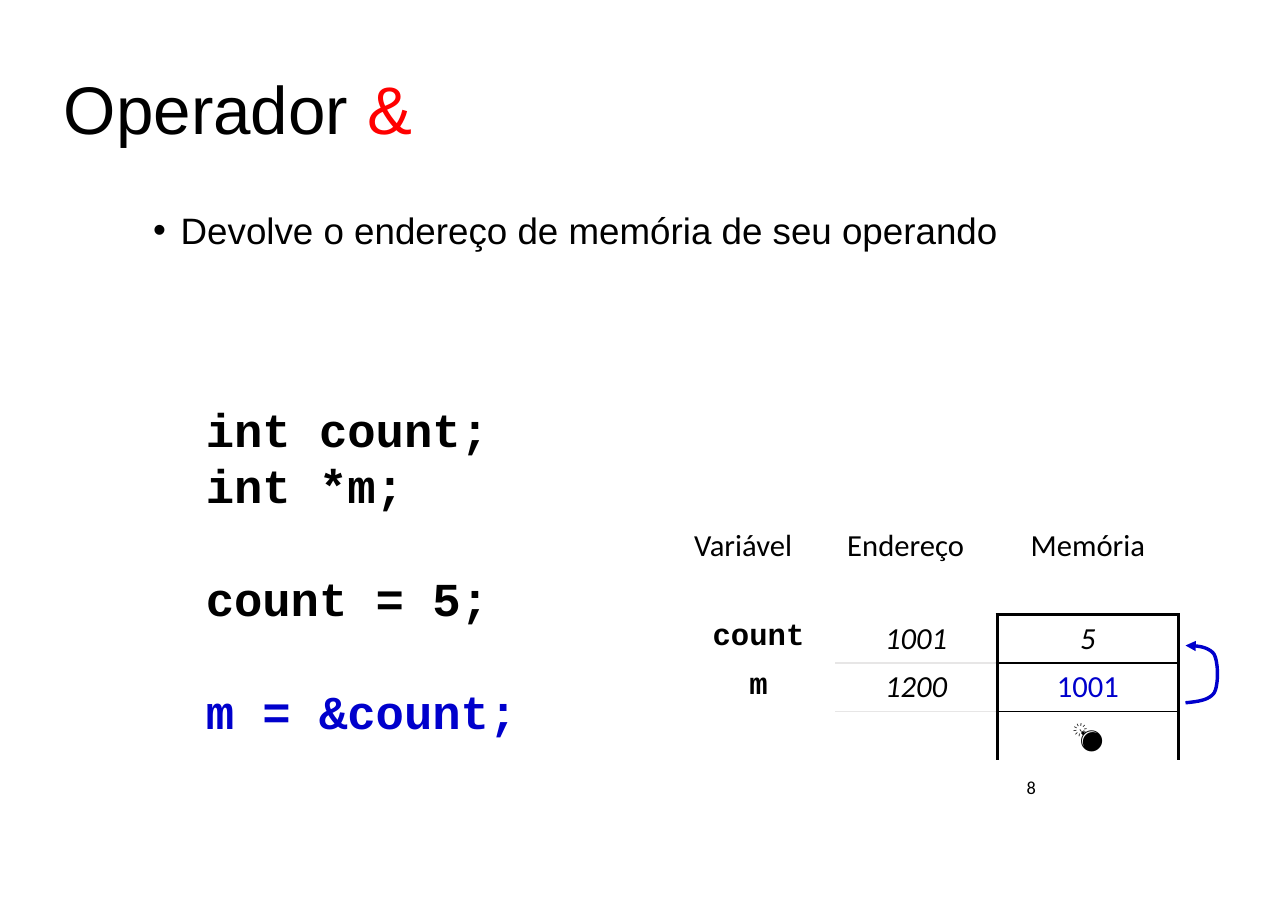
from dataclasses import dataclass
from lxml.etree import SubElement
from pptx import Presentation
from pptx.dml.color import RGBColor
from pptx.enum.text import MSO_ANCHOR, PP_ALIGN
from pptx.oxml.ns import qn
from pptx.util import Inches, Pt


@dataclass(frozen=True)
class Theme:
    ink: str = "000000"
    red: str = "FF0000"
    blue: str = "0000CC"
    gray: str = "E7E6E6"
    sans: str = "Arial"
    body: str = "Calibri"
    mono: str = "Courier New"
    title: float = 44
    point: float = 24
    code: float = 30.9
    cell: float = 20
    note: float = 12
    pitch: float = 37
    thick: float = 2.25
    thin: float = 1


class Deck:
    def __init__(self, theme):
        self.theme = theme
        self.show = Presentation()
        self.show.slide_width = Inches(11.69)
        self.show.slide_height = Inches(8.27)
        self.slide = self.show.slides.add_slide(self.show.slide_layouts[6])

    def style(self, run, face, size, color=None, bold=False, italic=False):
        font = run.font
        font.name, font.size = face, Pt(size)
        font.bold, font.italic = bold, italic
        font.color.rgb = RGBColor.from_string(color or self.theme.ink)

    def text(self, area, words, face, size, bold=False, inset=None,
             wrap=True, anchor=MSO_ANCHOR.TOP):
        frame = self.slide.shapes.add_textbox(*map(Inches, area)).text_frame
        frame.text = words
        frame.word_wrap = wrap
        frame.vertical_anchor = anchor
        if inset is not None:
            frame.margin_left = frame.margin_right = Inches(inset)
            frame.margin_top = frame.margin_bottom = Inches(inset)
        for para in frame.paragraphs:
            for run in para.runs:
                self.style(run, face, size, bold=bold)
        return frame

    def bullet(self, para, left, hang):
        props = para._p.get_or_add_pPr()
        props.set("marL", str(Inches(left)))
        props.set("indent", str(-Inches(hang)))
        SubElement(props, qn("a:buFont"), typeface=self.theme.sans)
        SubElement(props, qn("a:buChar"), char="•")

    def border(self, cell, edges):
        props = cell._tc.get_or_add_tcPr()
        for side in "LRTB":
            color, width = edges.get(side, (None, 0))
            line = SubElement(props, qn(f"a:ln{side}"), w=str(Pt(width)))
            if color:
                fill = SubElement(line, qn("a:solidFill"))
                SubElement(fill, qn("a:srgbClr"), val=color)
            else:
                SubElement(line, qn("a:noFill"))

    def table(self, area, rows, widths, heights):
        frame = self.slide.shapes.add_table(
            len(rows), len(widths), *map(Inches, area))
        grid = frame.table
        grid.first_row = grid.horz_banding = False
        mark = grid._tbl.tblPr.find(qn("a:tableStyleId"))
        mark.text = "{2D5ABB26-0587-4C30-8999-92F81FD0307C}"
        for col, width in zip(grid.columns, widths):
            col.width = Inches(width)
        for row, height in zip(grid.rows, heights):
            row.height = Inches(height)
        for r, row in enumerate(rows):
            for c, words in enumerate(row):
                self.fill(grid.cell(r, c), words, r, c)

    def fill(self, cell, words, r, c):
        t = self.theme
        cell.margin_left = cell.margin_right = Inches(0.11)
        cell.margin_top = cell.margin_bottom = Inches(0.05)
        cell.text_frame.text = words
        para = cell.text_frame.paragraphs[0]
        left = r == 0 and c < 2
        para.alignment = PP_ALIGN.LEFT if left else PP_ALIGN.CENTER
        name = r > 0 and c == 0
        link = (r, c) == (2, 2)
        for run in para.runs:
            self.style(run, t.mono if name else t.body, t.cell,
                       t.blue if link else t.ink, bold=name,
                       italic=r in (1, 2) and c > 0 and not link)
        self.border(cell, self.edges(r, c))
        cell.fill.background()

    def edges(self, r, c):
        t = self.theme
        wall = (t.ink, t.thick)
        if c == 0:
            return {}
        if r == 0:
            return {"B": wall} if c == 2 else {}
        rule = (t.ink if c == 2 else t.gray, t.thin)
        found = {"R": wall}
        if c == 2:
            found["L"] = wall
        if r > 1:
            found["T"] = rule
        elif c == 2:
            found["T"] = wall
        if r < 3:
            found["B"] = rule
        return found

    def curve(self, start, bends, color, width, steps=16):
        points = []
        first = start
        for bend in bends:
            knots = (first, *bend)
            for step in range(1, steps + 1):
                u = step / steps
                parts = ((1 - u) ** 3, 3 * u * (1 - u) ** 2,
                         3 * u * u * (1 - u), u ** 3)
                points.append(tuple(
                    Inches(sum(p * k[axis] for p, k in zip(parts, knots)))
                    for axis in (0, 1)))
            first = bend[-1]
        maker = self.slide.shapes.build_freeform(*map(Inches, start))
        maker.add_line_segments(points, close=False)
        shape = maker.convert_to_shape()
        shape.shadow.inherit = False
        shape.fill.background()
        shape.line.color.rgb = RGBColor.from_string(color)
        shape.line.width = Pt(width)
        SubElement(shape.line._get_or_add_ln(), qn("a:tailEnd"),
                   type="triangle")


def main():
    t = Theme()
    deck = Deck(t)

    page = deck.text((7.17, 6.95, 2.33, 0.4), "8", t.body, t.note,
                     anchor=MSO_ANCHOR.MIDDLE)
    page.paragraphs[0].alignment = PP_ALIGN.RIGHT

    title = deck.text((0.58, 0.33, 10.52, 1.38), "Operador ", t.sans, t.title,
                      inset=0, anchor=MSO_ANCHOR.MIDDLE).paragraphs[0]
    title.line_spacing = 0.9
    sign = title.add_run()
    sign.text = "&"
    deck.style(sign, t.sans, t.title, t.red)

    point = deck.text((0.89, 1.93, 9.92, 2.12),
                      "Devolve o endereço de memória de seu operando",
                      t.sans, t.point, inset=0).paragraphs[0]
    point.line_spacing = 0.9
    point.space_before = Pt(5)
    deck.bullet(point, 0.75, 0.25)

    code = deck.text((1.77, 3.53, 3.06, 3.22),
                     "int count;\nint *m;\ncount = 5;\nm = &count;",
                     t.mono, t.code, bold=True, inset=0.1, wrap=False)
    for para in code.paragraphs:
        para.line_spacing = Pt(t.pitch)
    for para in code.paragraphs[2:]:
        para.space_before = Pt(t.pitch)
    deck.style(code.paragraphs[-1].runs[0], t.mono, t.code, t.blue, bold=True)

    rows = [("Variável", "Endereço", "Memória"),
            ("count", "1001", "5"),
            ("m", "1200", "1001"),
            ("", "", "💣")]
    deck.table((6.19, 4.74, 4.51, 2.16), rows,
               (1.39, 1.47, 1.65), (0.84, 0.44, 0.44, 0.44))

    deck.curve((10.76, 6.38),
               [((10.86, 6.37), (10.97, 6.36), (11.02, 6.29)),
                ((11.06, 6.22), (11.06, 6.02), (11.02, 5.94)),
                ((10.97, 5.87), (10.86, 5.86), (10.76, 5.86))],
               t.blue, t.thick)
    deck.show.save("out.pptx")


if __name__ == "__main__":
    main()
